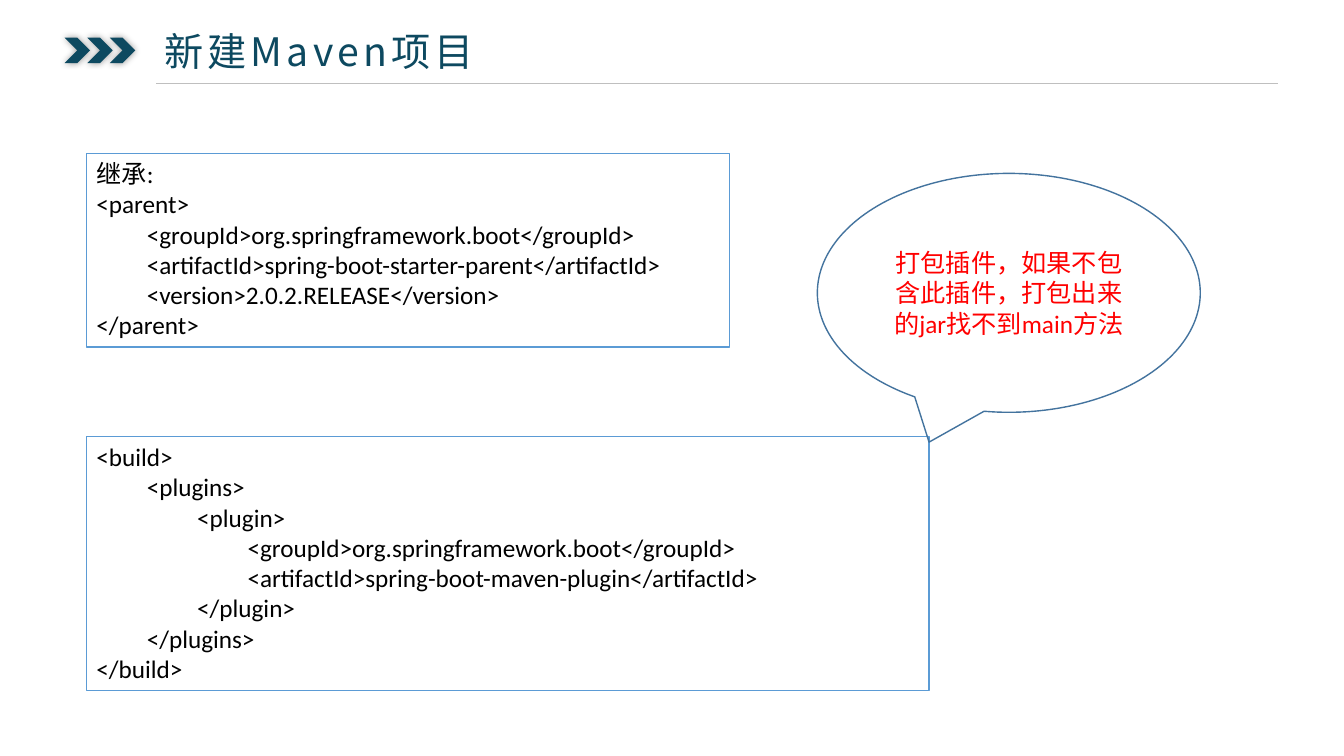
from lxml import etree
from pptx import Presentation
from pptx.dml.color import RGBColor
from pptx.enum import shapes, text
from pptx.oxml import ns
from pptx.util import Cm, Pt

HAN = "Noto Sans CJK JP"
KIND = shapes.MSO_SHAPE
NAVY = "0D4960"


def paint(form, hue):
    """Give a fill, line or font format one solid colour."""
    if hasattr(form, "solid"):
        form.solid()
        form.fore_color.rgb = RGBColor.from_string(hue)
    else:
        form.color.rgb = RGBColor.from_string(hue)


def write(frame, lines, face, size, hue, align):
    """Write one paragraph per line of text."""
    for i, line in enumerate(lines):
        para = frame.paragraphs[0] if i == 0 else frame.add_paragraph()
        para.alignment = align
        run = para.add_run()
        run.text = line
        for key, val in {"name": face, "size": Pt(size)}.items():
            setattr(run.font, key, val)
        paint(run.font, hue)
        east = etree.SubElement(run.font._element, ns.qn("a:ea"))
        east.set("typeface", HAN)


deck = Presentation()
deck.slide_width, deck.slide_height = Cm(33.87), Cm(19.05)
slide = deck.slides.add_slide(deck.slide_layouts[6])
LEFT, MID = text.PP_ALIGN.LEFT, text.PP_ALIGN.CENTER

# Three chevrons with a soft glow of shadow
for i in range(3):
    mark = slide.shapes.add_shape(
        KIND.CHEVRON, Cm(1.63 + 0.57 * i), Cm(0.95), Cm(0.64), Cm(0.64))
    paint(mark.fill, NAVY)
    mark.line.fill.background()
    mark.shadow.inherit = False
    glow = mark._element.spPr.find(ns.qn("a:effectLst"))
    shade = etree.SubElement(glow, ns.qn("a:outerShdw"), blurRad=str(Pt(5)),
                             dist="0", dir="0", algn="ctr", rotWithShape="0")
    black = etree.SubElement(shade, ns.qn("a:srgbClr"), val="000000")
    etree.SubElement(black, ns.qn("a:alpha"), val="40000")

# Title and the rule below it
title = slide.shapes.add_textbox(Cm(3.94), Cm(0.58), Cm(14.73), Cm(1.4))
frame = title.text_frame
for key, val in {"word_wrap": True, "margin_left": Cm(0.2), "margin_right": Cm(0.2),
                 "margin_top": Cm(0.1), "margin_bottom": Cm(0.1)}.items():
    setattr(frame, key, val)
write(frame, ["新建Maven项目"], HAN, 28, NAVY, LEFT)
frame.paragraphs[0].runs[0].font._element.set("spc", "300")

rule = slide.shapes.add_connector(
    shapes.MSO_CONNECTOR.STRAIGHT, Cm(3.94), Cm(2.11), Cm(32.21), Cm(2.11))
paint(rule.line, "BFBFBF")
rule.line.width = Pt(0.5)
etree.SubElement(rule._element.spPr, ns.qn("a:effectLst"))

# Code boxes: top, width, height, lines
codes = [
    (3.87, 16.21, 4.88, [
        "继承:",
        "<parent>",
        "\t<groupId>org.springframework.boot</groupId>",
        "\t<artifactId>spring-boot-starter-parent</artifactId>",
        "\t<version>2.0.2.RELEASE</version>",
        "</parent>",
    ]),
    (11, 21.23, 6.4, [
        "<build>",
        "\t<plugins>",
        "\t\t<plugin>",
        "\t\t\t<groupId>org.springframework.boot</groupId>",
        "\t\t\t<artifactId>spring-boot-maven-plugin</artifactId>",
        "\t\t</plugin>",
        "\t</plugins>",
        "</build>",
    ]),
]
for top, wide, high, lines in codes:
    box = slide.shapes.add_shape(
        KIND.RECTANGLE, Cm(2.18), Cm(top), Cm(wide), Cm(high))
    box.shadow.inherit = False
    paint(box.fill, "FFFFFF")
    paint(box.line, "5B9BD5")
    box.line.width = Pt(1)
    for key, val in {"word_wrap": False, "vertical_anchor": text.MSO_ANCHOR.TOP,
                     "auto_size": text.MSO_AUTO_SIZE.SHAPE_TO_FIT_TEXT}.items():
        setattr(box.text_frame, key, val)
    write(box.text_frame, lines, "Calibri", 18, "000000", LEFT)

# Callout about the packaging plugin
note = slide.shapes.add_shape(
    KIND.OVAL_CALLOUT, Cm(20.6), Cm(4.37), Cm(9.65), Cm(6.02))
note.shadow.inherit = False
note.fill.background()
paint(note.line, "43739E")
note.line.width = Pt(1)
note.text_frame.word_wrap = True
note.text_frame.vertical_anchor = text.MSO_ANCHOR.MIDDLE
write(note.text_frame, ["打包插件，如果不包含此插件，打包出来的jar找不到main方法"],
      "Calibri", 18, "FF0000", MID)

deck.save("out.pptx")
